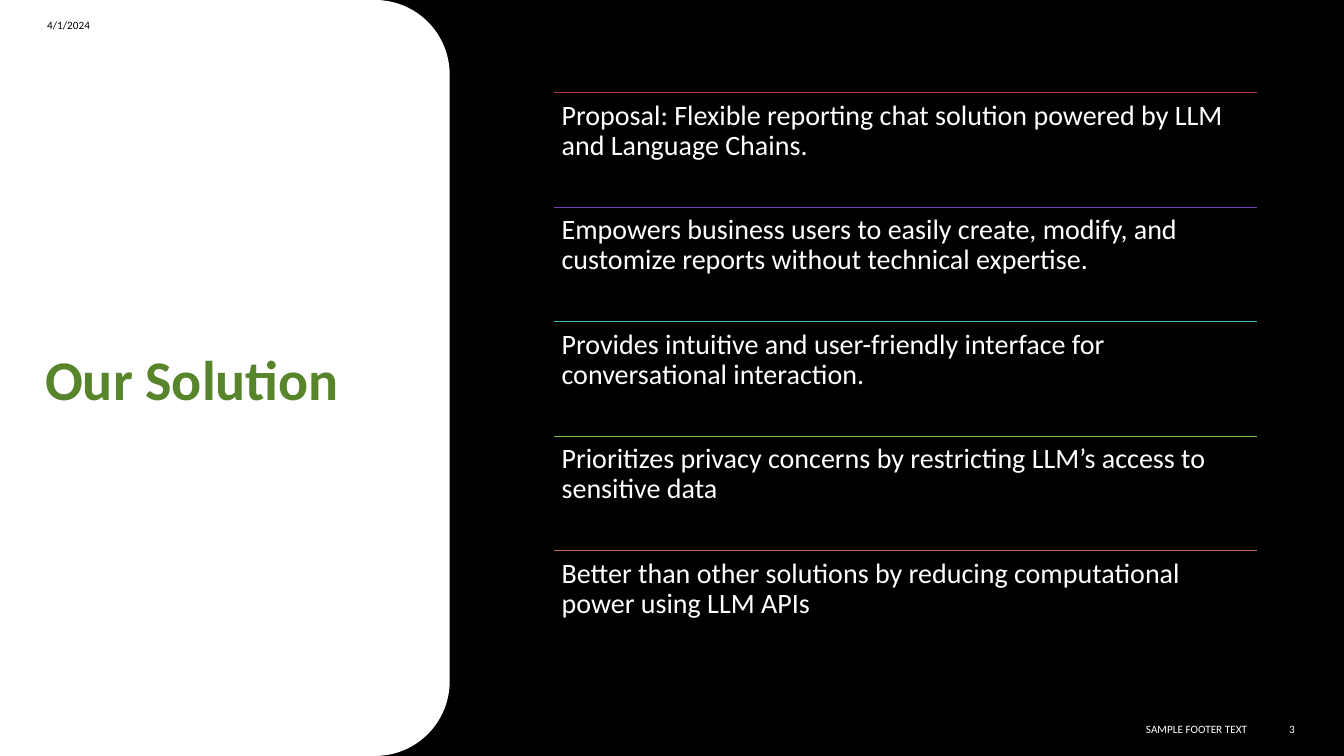
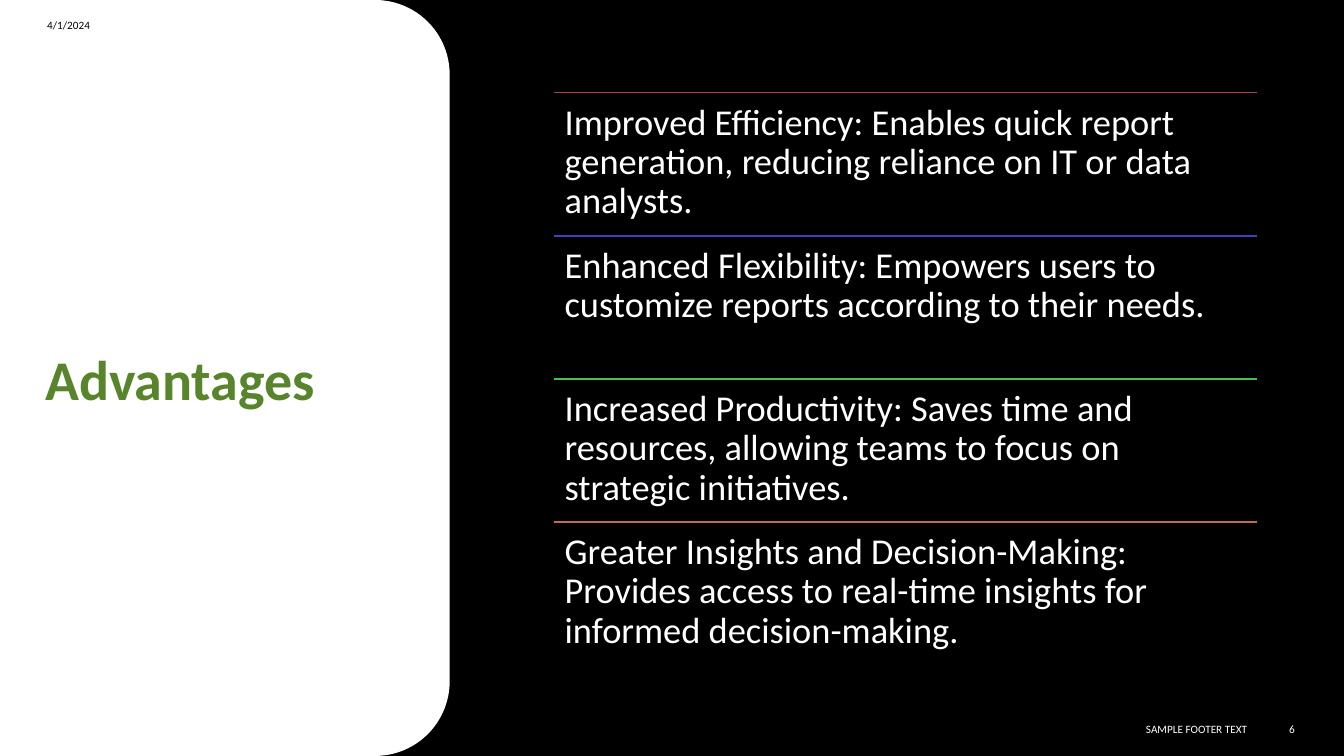
from dataclasses import dataclass
from lxml import etree
from pptx import Presentation
from pptx.dml.color import RGBColor
from pptx.enum.shapes import MSO_CONNECTOR as Connector, MSO_SHAPE as Shape
from pptx.enum.text import MSO_ANCHOR as Anchor, PP_ALIGN as Align
from pptx.oxml.ns import qn
from pptx.util import Inches, Pt


@dataclass(frozen=True)
class Theme:
    font: str = "Calibri"
    black: str = "000000"
    white: str = "FFFFFF"
    green: str = "58852C"
    title_size: int = 40
    footer_size: int = 8


theme = Theme()
SLIDE_WIDTH, SLIDE_HEIGHT = 13.33, 7.5
PANEL_WIDTH, PANEL_RADIUS = 4.46, 0.74
LIST_LEFT, LIST_TOP, LIST_WIDTH, LIST_HEIGHT = 5.49, 0.92, 6.98, 5.68

topics = [
    {
        "title": "Our Solution",
        "number": "3",
        "size": 20,
        "inset": 0.08,
        "rows": [
            ("B13B4E", "Proposal: Flexible reporting chat solution powered by LLM and Language Chains."),
            ("743DB8", "Empowers business users to easily create, modify, and customize reports without technical expertise."),
            ("40B8BE", "Provides intuitive and user-friendly interface for conversational interaction."),
            ("71C146", "Prioritizes privacy concerns by restricting LLM’s access to sensitive data"),
            ("C36B4D", "Better than other solutions by reducing computational power using LLM APIs"),
        ],
    },
    {
        "title": "Advantages",
        "number": "6",
        "size": 26,
        "inset": 0.11,
        "rows": [
            ("B13B4E", "Improved Efficiency: Enables quick report generation, reducing reliance on IT or data analysts."),
            ("3E41BA", "Enhanced Flexibility: Empowers users to customize reports according to their needs."),
            ("44C052", "Increased Productivity: Saves time and resources, allowing teams to focus on strategic initiatives."),
            ("C36B4D", "Greater Insights and Decision-Making: Provides access to real-time insights for informed decision-making."),
        ],
    },
]


def add_text(slide, box, text, size, color, bold=False, align=Align.LEFT,
             anchor=Anchor.MIDDLE, line_spacing=1.0, space_after=0, inset=None):
    shape = slide.shapes.add_textbox(*map(Inches, box))
    frame = shape.text_frame
    frame.word_wrap = True
    frame.vertical_anchor = anchor
    if inset is not None:
        frame.margin_left = frame.margin_right = Inches(inset)
        frame.margin_top = frame.margin_bottom = Inches(inset)
    frame.text = text
    paragraph = frame.paragraphs[0]
    paragraph.alignment = align
    paragraph.line_spacing = line_spacing
    paragraph.space_after = Pt(space_after)
    font = paragraph.runs[0].font
    font.name, font.size, font.bold = theme.font, Pt(size), bold
    font.color.rgb = RGBColor.from_string(color)


def add_rule(slide, left, top, width, color):
    rule = slide.shapes.add_connector(
        Connector.STRAIGHT, Inches(left), Inches(top), Inches(left + width), Inches(top))
    rule.line.width = Pt(1)
    rule.line.color.rgb = RGBColor.from_string(color)
    etree.SubElement(rule._element.spPr, qn("a:effectLst"))


presentation = Presentation()
presentation.slide_width = Inches(SLIDE_WIDTH)
presentation.slide_height = Inches(SLIDE_HEIGHT)
blank_layout = presentation.slide_layouts[6]

for topic in topics:
    slide = presentation.slides.add_slide(blank_layout)
    slide.background.fill.solid()
    slide.background.fill.fore_color.rgb = RGBColor.from_string(theme.black)

    offset = (SLIDE_HEIGHT - PANEL_WIDTH) / 2
    panel = slide.shapes.add_shape(
        Shape.ROUND_2_SAME_RECTANGLE, Inches(-offset), Inches(offset),
        Inches(SLIDE_HEIGHT), Inches(PANEL_WIDTH))
    panel.rotation = 90
    panel.adjustments[0] = PANEL_RADIUS / PANEL_WIDTH
    panel.shadow.inherit = False
    panel.fill.solid()
    panel.fill.fore_color.rgb = RGBColor.from_string(theme.white)
    panel.line.fill.background()

    add_text(slide, (0.35, 0.82, 3.53, 5.95), topic["title"], theme.title_size,
             theme.green, bold=True, line_spacing=0.9)
    for box, text, color, align in (
        ((0.37, 0.07, 3, 0.35), "4/1/2024", theme.black, Align.LEFT),
        ((8.03, 7.03, 4.44, 0.4), "SAMPLE FOOTER TEXT", theme.white, Align.RIGHT),
        ((12.47, 7.03, 0.47, 0.4), topic["number"], theme.white, Align.RIGHT),
    ):
        add_text(slide, box, text, theme.footer_size, color, align=align, space_after=6)

    row_height = LIST_HEIGHT / len(topic["rows"])
    for index, (color, text) in enumerate(topic["rows"]):
        top = LIST_TOP + index * row_height
        add_rule(slide, LIST_LEFT, top, LIST_WIDTH, color)
        add_text(slide, (LIST_LEFT, top, LIST_WIDTH, row_height), text, topic["size"],
                 theme.white, anchor=Anchor.TOP, line_spacing=0.9, inset=topic["inset"])

presentation.save("out.pptx")
